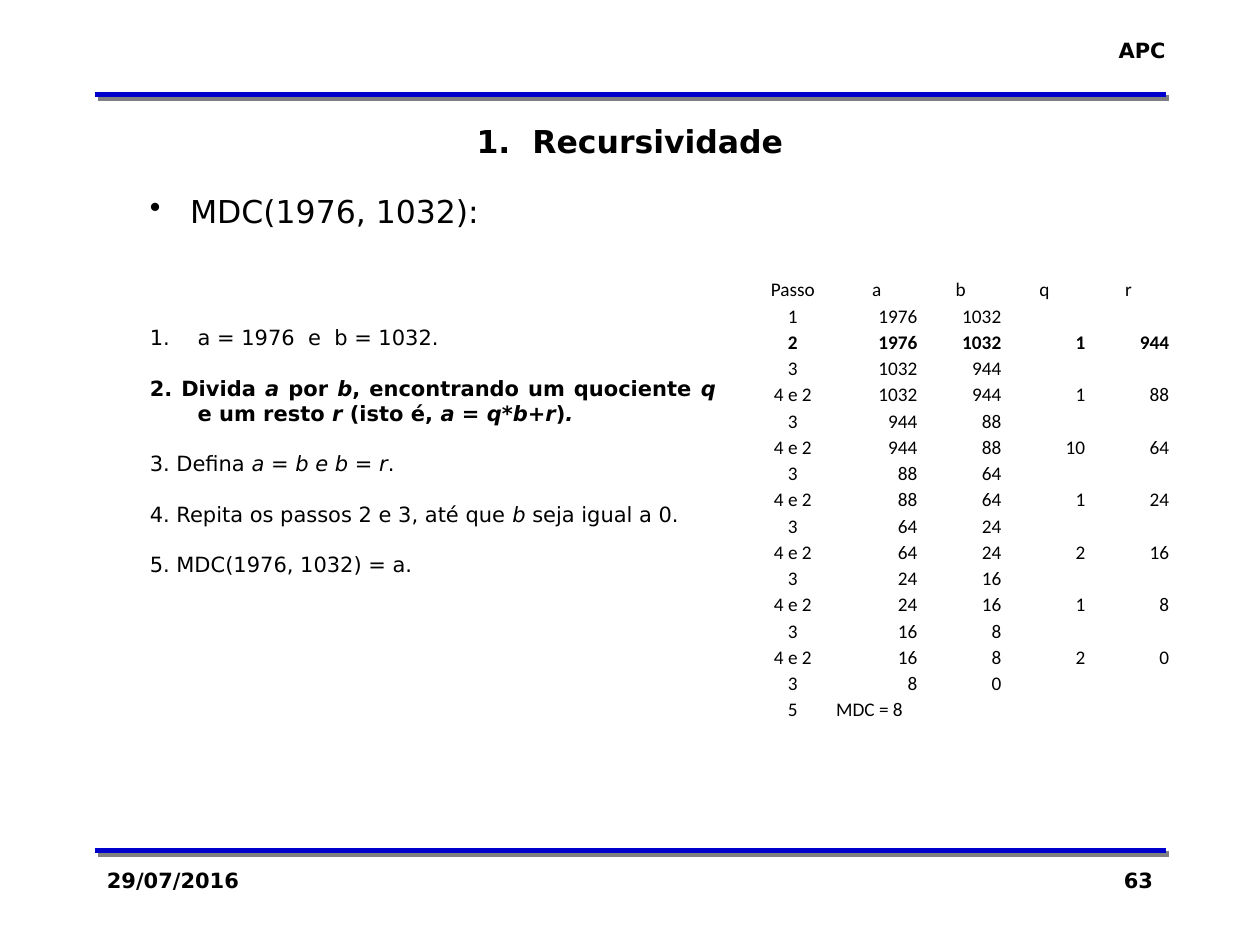
import pptx
import pptx.dml.color
import pptx.enum.shapes
import pptx.enum.text
import pptx.oxml
import pptx.oxml.ns
import pptx.util

WIDTH, HEIGHT = 10, 7.5
LEFT, RIGHT = 0.075, 0.925  # side margins as shares of the width
BODY_FONT, TABLE_FONT = "DejaVu Sans", "Calibri"
BLACK, BLUE, GREY = "000000", "0000CC", "808080"
ALIGN = pptx.enum.text.PP_ALIGN
HANG = 0.38
ITEM_GAP = 14.4


def across(share):
    return pptx.util.Inches(WIDTH * share)


def down(share):
    return pptx.util.Inches(HEIGHT * share)


def colour(code):
    return pptx.dml.color.RGBColor.from_string(code)


def add_element(parent, markup):
    """Append a drawing element, given as markup with the a: prefix."""
    name, rest = markup[:-2].split(" ", 1)
    element = pptx.oxml.parse_xml(f"{name} {pptx.oxml.ns.nsdecls('a')} {rest}/>")
    parent.append(element)
    return element


def write(para, text, size=12, font=BODY_FONT, bold=False, italic=False):
    span = para.add_run()
    span.text = text
    span.font.size = pptx.util.Pt(size)
    span.font.name = font
    span.font.bold = bold
    span.font.italic = italic
    span.font.color.rgb = colour(BLACK)


def write_mixed(para, text, **style):
    """Write text in which every second part between bars is italic."""
    for index, part in enumerate(text.split("|")):
        if part:
            write(para, part, italic=index % 2 == 1, **style)


def add_box(page, left, top, width, height, wrap=True):
    box = page.shapes.add_textbox(across(left), down(top), across(width), down(height))
    box.text_frame.word_wrap = wrap
    return box.text_frame


def add_label(page, text, left, top, width, height, align=ALIGN.LEFT, size=12, wrap=True):
    para = add_box(page, left, top, width, height, wrap).paragraphs[0]
    para.alignment = align
    write(para, text, size=size, bold=True)


def add_rule(page, top):
    rule = page.shapes.add_connector(pptx.enum.shapes.MSO_CONNECTOR.STRAIGHT,
                                     across(LEFT), down(top), across(RIGHT), down(top))
    rule.line.color.rgb = colour(BLUE)
    rule.line.width = pptx.util.Pt(3)
    effects = add_element(rule._element.spPr, '<a:effectLst />')
    distance = pptx.util.Pt(2.8)
    shadow = add_element(effects, f'<a:outerShdw dist="{distance}" dir="2700000"/>')
    add_element(shadow, f'<a:srgbClr val="{GREY}"/>')


def hang(para, indent):
    properties = para._p.get_or_add_pPr()
    length = pptx.util.Inches(indent)
    properties.set("marL", str(length))
    properties.set("indent", str(-length))
    return properties


def add_steps(page):
    frame = add_box(page, 0.109, 0.197, 0.469, 0.463)

    # Heading with its bullet
    heading = frame.paragraphs[0]
    add_element(hang(heading, 0.32), '<a:buChar char="•"/>')
    heading.alignment = ALIGN.JUSTIFY
    write(heading, "MDC(1976, 1032):", size=18)

    # Steps of the algorithm; the first is numbered automatically
    steps = ["a = 1976  e  b = 1032.",
             "2. Divida |a| por |b|, encontrando um quociente |q| e um resto |r| "
             "(isto é, |a = q*b+r|)|.|",
             "3. Defina |a = b e b = r|.",
             "4. Repita os passos 2 e 3, até que |b| seja igual a 0.",
             "5. MDC(1976, 1032) = a."]
    for number, text in enumerate(steps, 1):
        para = frame.add_paragraph()
        properties = hang(para, HANG)
        para.space_before = pptx.util.Pt(54 if number == 1 else ITEM_GAP)
        if number == 1:
            add_element(properties, '<a:buAutoNum type="arabicPeriod"/>')
        para.alignment = ALIGN.JUSTIFY
        write_mixed(para, text, bold=number == 2)


def trace_rows(a, b):
    """Rows of the Euclidean algorithm: step, a, b, quotient, remainder."""
    rows = [("Passo", "a", "b", "q", "r"), ("1", a, b)]
    step = "2"
    while b:
        quotient, remainder = divmod(a, b)
        rows.append((step, a, b, quotient, remainder))
        a, b = b, remainder
        rows.append(("3", a, b))
        step = "4 e 2"
    return rows + [("5", f"MDC = {a}"), ()]


def fill_cell(cell, value, align, bold, empty_size):
    cell.fill.background()
    cell.vertical_anchor = pptx.enum.text.MSO_ANCHOR.BOTTOM
    cell.margin_left = cell.margin_right = cell.margin_top = pptx.util.Inches(0.01)
    cell.margin_bottom = 0
    para = cell.text_frame.paragraphs[0]
    para.alignment = align
    if value is None:
        add_element(para._p, f'<a:endParaRPr sz="{empty_size * 100}"/>')
    else:
        write(para, str(value), size=11, font=TABLE_FONT, bold=bold)


def add_trace(page):
    rows, columns = trace_rows(1976, 1032), 5
    grid = page.shapes.add_table(len(rows), columns, across(0.596), down(0.292),
                                 across(0.333), down(0.513)).table
    grid.first_row = grid.horz_banding = False
    for index, values in enumerate(rows):
        grid.rows[index].height = pptx.util.Inches(0.2083 if values else 0.31)
        for column in range(columns):
            value = values[column] if column < len(values) else None
            if index == 0 or column == 0:
                align = ALIGN.CENTER
            else:
                align = ALIGN.RIGHT if isinstance(value, int) else ALIGN.LEFT
            fill_cell(grid.cell(index, column), value, align, bold=values[:1] == ("2",),
                      empty_size=11 if values else 14)


def main():
    deck = pptx.Presentation()
    deck.slide_width, deck.slide_height = across(1), down(1)
    page = deck.slides.add_slide(deck.slide_layouts[6])

    # Header and footer
    for top in (0.9, 0.1):
        add_rule(page, top)
    add_label(page, "APC", 0.877, 0.033, 0.058, 0.04, align=ALIGN.RIGHT, wrap=False)
    add_label(page, "29/07/2016", LEFT, 0.911, 0.208, 0.067)
    add_label(page, "63", RIGHT - 0.208, 0.911, 0.208, 0.067, align=ALIGN.RIGHT)

    # Content
    add_steps(page)
    add_label(page, "1.  Recursividade", LEFT, 0.123, RIGHT - LEFT, 0.053,
              align=ALIGN.CENTER, size=18)
    add_trace(page)

    deck.save("out.pptx")


if __name__ == "__main__":
    main()
